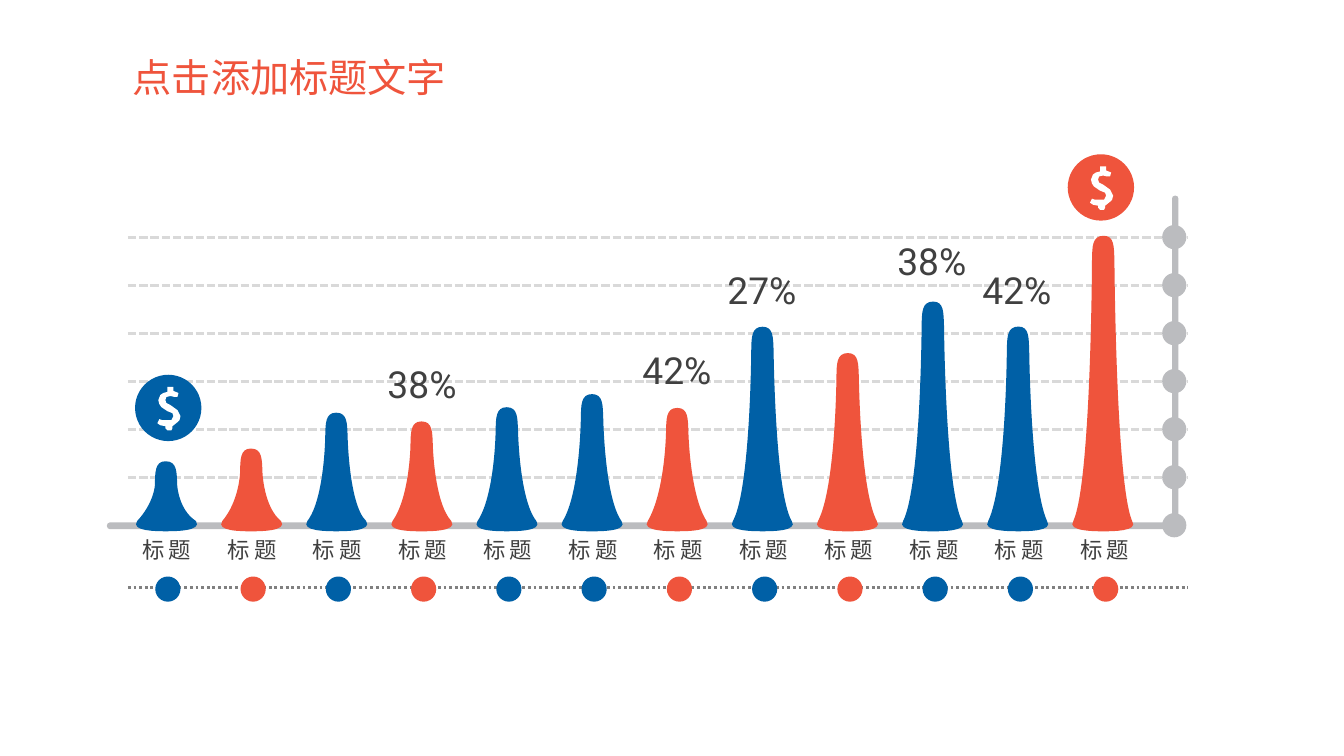
from dataclasses import dataclass

from lxml import etree
from pptx import Presentation
from pptx.dml.color import RGBColor
from pptx.enum.dml import MSO_LINE
from pptx.enum.shapes import MSO_CONNECTOR, MSO_SHAPE
from pptx.enum.text import MSO_ANCHOR, MSO_AUTO_SIZE, PP_ALIGN
from pptx.oxml.ns import qn
from pptx.util import Pt

STRAIGHT = MSO_CONNECTOR.STRAIGHT
OVAL = MSO_SHAPE.OVAL
DASH, DOT = MSO_LINE.SQUARE_DOT, MSO_LINE.ROUND_DOT
LEFT, CENTER = PP_ALIGN.LEFT, PP_ALIGN.CENTER
TOP = MSO_ANCHOR.TOP
FIT_SHAPE = MSO_AUTO_SIZE.SHAPE_TO_FIT_TEXT


@dataclass(frozen=True)
class Theme:
    font: str = "Roboto"
    blue: str = "0060A6"
    red: str = "EF543C"
    axis: str = "BBBCBF"
    grid: str = "D9D9D9"
    rule: str = "808080"
    text: str = "404040"
    white: str = "FFFFFF"
    title_size: float = 28
    value_size: float = 26.6
    label_size: float = 16


class Painter:
    def __init__(self, page, theme):
        self.page = page
        self.theme = theme

    def paint(self, shape, color):
        shape.shadow.inherit = False
        shape.fill.solid()
        shape.fill.fore_color.rgb = RGBColor.from_string(color)
        shape.line.fill.background()

    def circle(self, center_x, center_y, size, color):
        left, top = center_x - size / 2, center_y - size / 2
        shape = self.page.shapes.add_shape(OVAL, Pt(left), Pt(top), Pt(size), Pt(size))
        self.paint(shape, color)

    def outline(self, start, segments, color):
        builder = self.page.shapes.build_freeform(Pt(start[0]), Pt(start[1]), scale=1.0)
        ends = [(Pt(x), Pt(y)) for x, y in (segment[-1] for segment in segments)]
        builder.add_line_segments(ends, close=True)
        shape = builder.convert_to_shape()
        steps = list(shape._element.iter(qn("a:lnTo")))
        for step, segment in zip(steps, segments):
            if len(segment) == 3:
                step.tag = qn("a:cubicBezTo")
                for position, (x, y) in enumerate(segment[:2]):
                    handle = etree.Element(qn("a:pt"))
                    handle.set("x", str(Pt(x) - shape.left))
                    handle.set("y", str(Pt(y) - shape.top))
                    step.insert(position, handle)
        self.paint(shape, color)

    def rule(self, y, color, dash):
        line = self.page.shapes.add_connector(STRAIGHT, Pt(91.4), Pt(y), Pt(848.2), Pt(y))
        for name, value in {"width": Pt(2), "dash_style": dash}.items():
            setattr(line.line, name, value)
        line.line.color.rgb = RGBColor.from_string(color)
        etree.SubElement(line._element.spPr, qn("a:effectLst"))

    def text(self, words, left, top, width, height, size, color, align=CENTER, spacing=0):
        box = self.page.shapes.add_textbox(Pt(left), Pt(top), Pt(width), Pt(height))
        frame_format = {"word_wrap": False, "auto_size": FIT_SHAPE, "vertical_anchor": TOP}
        for name, value in frame_format.items():
            setattr(box.text_frame, name, value)
        para = box.text_frame.paragraphs[0]
        para.alignment = align
        span = para.add_run()
        span.text = words
        for name, value in {"name": self.theme.font, "size": Pt(size)}.items():
            setattr(span.font, name, value)
        span.font.color.rgb = RGBColor.from_string(color)
        if spacing:
            span.font._element.set("spc", str(spacing * 100))

    def peak(self, index, center, top, color):
        base, floor, shoulder = 372.2, 379.5, top + 17.3
        skew = 0.7 - 0.13 * index
        left, right = center - 21 + skew, center + 21 + skew
        neck_left, neck_right = center - 8 + skew / 2, center + 8 + skew / 2
        right_shoulder, left_shoulder = (neck_right, shoulder), (neck_left, shoulder)
        segments = [
            [(neck_right + 1, base - 7.9 - 1.8 * index), right_shoulder, right_shoulder],
            [(neck_right - 0.4, shoulder - 9.4), (neck_right, top), (center, top)],
            [(neck_left, top), (neck_left + 0.2, shoulder - 9.4), left_shoulder],
            [left_shoulder, (neck_left - 0.6, base - 13 - 1.37 * index), (left, base)],
            [(left - 5, floor), (center - 6, floor), (center, floor)],
            [(center + 6, floor), (right + 5, floor), (right, base)],
        ]
        self.outline((right, base), segments, color)

    def coin(self, center_x, center_y, color):
        self.circle(center_x, center_y, 47.4, color)
        left, top = center_x - 7.8, center_y - 15
        corners = [(left + x * 0.72, top + y * 0.72) for x, y in DOLLAR]
        self.outline(corners[0], [[corner] for corner in corners[1:]], self.theme.white)


DOLLAR = [
    (23, 29), (22, 33), (20, 35), (15, 39), (15, 41), (14, 43), (10, 43), (8, 41),
    (8, 39), (3, 38), (0, 36), (2, 32), (5, 33), (10, 33), (14, 33), (16, 29),
    (15, 26), (10, 24), (4, 20), (2, 17), (1, 13), (3, 8), (6, 6), (10, 5),
    (10, 0), (16, 0), (16, 4), (21, 6), (20, 10), (17, 10), (13, 9), (9, 10),
    (8, 13), (9, 16), (13, 18), (20, 23),
]
AXIS_SEGMENTS = [
    [(839.5, 378)],
    [(841, 378), (841.7, 377), (841.7, 375.8)],
    [(841.7, 141.8)],
    [(841.7, 140.6), (841, 139.7), (839.5, 139.7)],
    [(838, 139.7), (837.2, 140.6), (837.2, 141.8)],
    [(837.2, 373.2)],
    [(78.5, 373.2)],
    [(77.5, 373.2), (76.3, 374), (76.3, 375.6)],
    [(76.3, 377), (77.5, 378), (78.5, 378)],
]
PEAK_TOPS = [329.5, 320.4, 294.8, 301, 290.9, 281.5, 291.4, 233.4, 252.2, 215.4, 233.3, 168.4]
RED_PEAKS = {1, 3, 6, 8, 11}
VALUES = {
    7: ("27%", 187.2),
    10: ("42%", 187.2),
    3: ("38%", 254.2),
    6: ("42%", 244.8),
    9: ("38%", 166.3),
}


def main():
    deck = Presentation()
    deck.slide_width, deck.slide_height = Pt(960), Pt(540)
    page = deck.slides.add_slide(deck.slide_layouts[6])
    theme = Theme()
    painter = Painter(page, theme)

    levels = [169.4 + 34.3 * step for step in range(7)]
    for level in levels[:-1]:
        painter.rule(level, theme.grid, DASH)
    painter.rule(419.8, theme.rule, DOT)
    painter.outline((78.5, 378), AXIS_SEGMENTS, theme.axis)
    for level in reversed(levels):
        painter.circle(838.8, level, 17.3, theme.axis)

    for index, top in enumerate(PEAK_TOPS):
        color = theme.red if index in RED_PEAKS else theme.blue
        painter.peak(index, 118.3 + 60.92 * index, top, color)
        painter.circle(119.9 + 60.9 * index, 420.8, 18, color)
        painter.text("标题", 92.9 + 60.9 * index, 379.4, 52.6, 26.6,
                     theme.label_size, theme.text, spacing=3)

    painter.coin(120.2, 291.4, theme.blue)
    painter.coin(786.4, 133.9, theme.red)
    for index, (value, top) in VALUES.items():
        painter.text(value, 84.5 + 60.7 * index, top, 69.8, 39.6, theme.value_size, theme.text)
    painter.text("点击添加标题文字", 87.8, 34.6, 240.5, 41, theme.title_size, theme.red, LEFT)

    deck.save("out.pptx")


if __name__ == "__main__":
    main()
